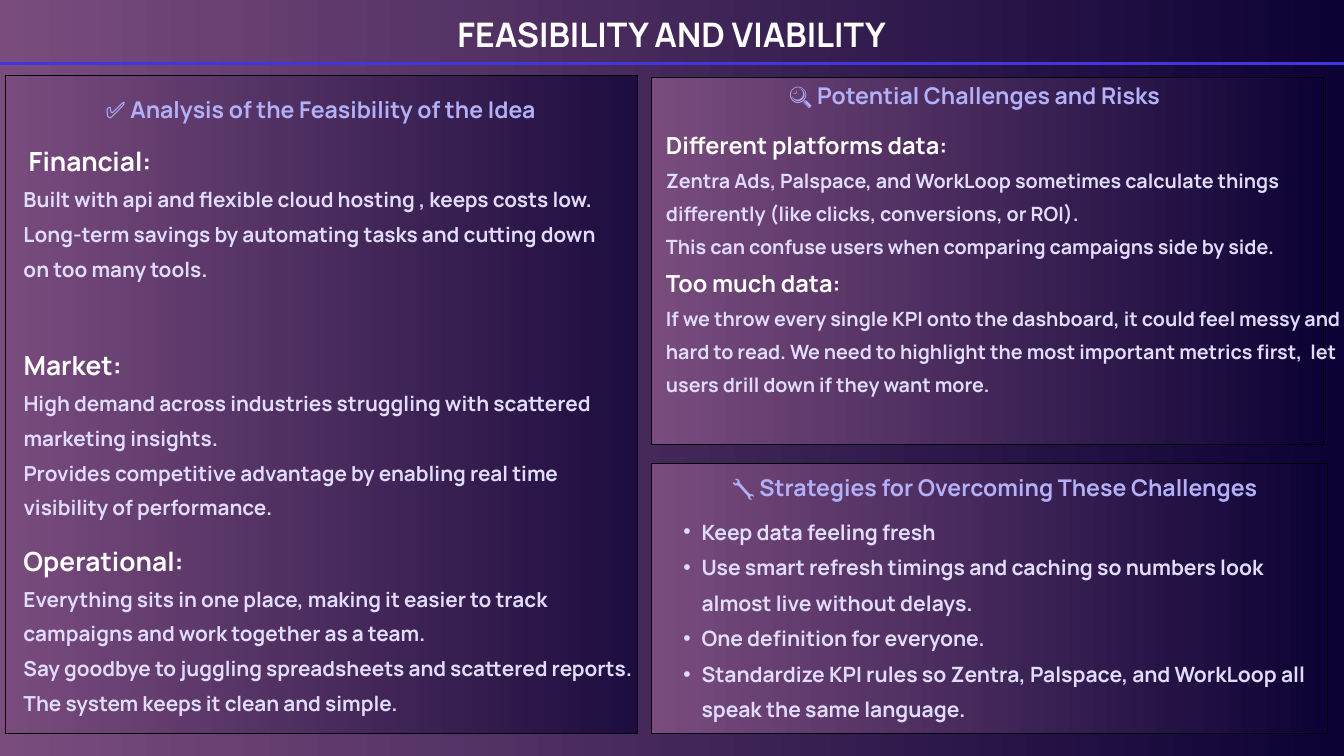
from dataclasses import dataclass

from lxml import etree
from pptx import Presentation
from pptx.dml.color import RGBColor
from pptx.enum.shapes import MSO_CONNECTOR, MSO_SHAPE
from pptx.enum.text import PP_ALIGN
from pptx.oxml.ns import qn
from pptx.util import Inches, Pt

RECT = MSO_SHAPE.RECTANGLE
LINE = MSO_CONNECTOR.STRAIGHT
LEFT, MID = PP_ALIGN.LEFT, PP_ALIGN.CENTER


@dataclass(frozen=True)
class Style:
    size: float
    lead: float
    color: str


class Theme:
    font = "Manrope"
    start, end = "7A4C7E", "0D0235"
    edge, rule = "000000", "4234DE"
    white, lilac, pale = "FFFFFF", "B3B0F8", "E1DCF9"
    title = Style(36.2, 50.7, white)
    label = Style(24.7, 34.6, lilac)
    head = Style(28.2, 47.3, white)
    body = Style(22.2, 37.3, pale)
    risk = Style(25.2, 42.3, white)
    note = Style(21.1, 35.4, pale)
    item = Style(22.6, 38.1, pale)


def rgb(code):
    return RGBColor.from_string(code)


def shade(fill, alpha=None):
    """Fill with the left-to-right gradient, see-through if alpha is given."""
    fill.gradient()
    fill.gradient_angle = 0
    for stop, code in zip(fill.gradient_stops, (Theme.start, Theme.end)):
        stop.color.rgb = rgb(code)
    if alpha:
        for node in fill._xPr.iter(qn("a:srgbClr")):
            etree.SubElement(node, qn("a:alpha"), val=str(alpha * 1000))


def add_panel(slide, box, alpha=None):
    panel = slide.shapes.add_shape(RECT, *map(Inches, box))
    panel.shadow.inherit = False
    shade(panel.fill, alpha)
    panel.line.color.rgb = rgb(Theme.edge)
    panel.line.width = Pt(1)


def add_rule(slide, left, right, top):
    rule = slide.shapes.add_connector(
        LINE, Inches(left), Inches(top), Inches(right), Inches(top))
    rule.line.color.rgb = rgb(Theme.rule)
    rule.line.width = Pt(3)
    etree.SubElement(rule._element.spPr, qn("a:effectLst"))


def add_bullet(para):
    para.level = 1
    props = para._p.get_or_add_pPr()
    props.set("marL", str(Inches(0.53)))
    props.set("indent", str(Inches(-0.27)))
    etree.SubElement(props, qn("a:buFont"), typeface="Arial")
    etree.SubElement(props, qn("a:buChar"), char="•")


def add_text(slide, box, rows, align=LEFT, bullet=False):
    """Write rows of (style, text), one paragraph each."""
    frame = slide.shapes.add_textbox(*map(Inches, box)).text_frame
    frame.word_wrap = True
    frame.margin_left = frame.margin_right = 0
    frame.margin_top = frame.margin_bottom = 0
    frame.text = "\n".join(text for _, text in rows)
    for para, (style, _) in zip(frame.paragraphs, rows):
        para.alignment = align
        para.line_spacing = Pt(style.lead)
        if bullet:
            add_bullet(para)
        font = para.runs[0].font
        font.name, font.size, font.bold = Theme.font, Pt(style.size), True
        font.color.rgb = rgb(style.color)


def add_topic(slide, box, head, *lines):
    add_text(slide, box,
             [(Theme.head, head)] + [(Theme.body, line) for line in lines])


def add_label(slide, box, text, style=Theme.label):
    add_text(slide, box, [(style, text)], MID)


def main():
    deck = Presentation()
    deck.slide_width, deck.slide_height = Inches(20), Inches(11.25)
    slide = deck.slides.add_slide(deck.slide_layouts[6])
    shade(slide.background.fill)

    # Panels and header
    add_panel(slide, (0.08, 1.12, 9.4, 9.8), alpha=71)
    add_panel(slide, (9.69, 1.16, 10.01, 5.46))
    add_panel(slide, (9.69, 6.9, 10.06, 4.02))
    add_rule(slide, -0.93, 20.93, 0.95)
    add_label(slide, (6.7, 0.11, 6.6, 0.7), "FEASIBILITY AND VIABILITY",
              Theme.title)

    # Feasibility
    add_label(slide, (1.31, 1.35, 6.93, 0.49),
              "✅ Analysis of the Feasibility of the Idea")
    add_topic(slide, (0.35, 1.98, 8.86, 2.71), " Financial:",
              "Built with api and flexible cloud hosting , keeps costs low.",
              "Long-term savings by automating tasks and cutting down on too "
              "many tools.")
    add_topic(slide, (0.35, 5.01, 8.49, 2.71), "Market:",
              "High demand across industries struggling with scattered "
              "marketing insights.",
              "Provides competitive advantage by enabling real time "
              "visibility of performance.")
    add_topic(slide, (0.35, 7.92, 9.26, 2.9), "Operational:",
              "Everything sits in one place, making it easier to track "
              "campaigns and work together as a team.",
              "Say goodbye to juggling spreadsheets and scattered reports. "
              "The system keeps it clean and simple.")

    # Challenges
    add_label(slide, (11.52, 1.14, 5.97, 0.49),
              "🔍 Potential Challenges and Risks")
    add_text(slide, (9.91, 1.78, 10.09, 4.93), [
        (Theme.risk, "Different platforms data:"),
        (Theme.note, "Zentra Ads, Palspace, and WorkLoop sometimes calculate "
                     "things differently (like clicks, conversions, or ROI)."),
        (Theme.note, "This can confuse users when comparing campaigns side "
                     "by side."),
        (Theme.risk, "Too much data:"),
        (Theme.note, "If we throw every single KPI onto the dashboard, it "
                     "could feel messy and hard to read. We need to highlight "
                     "the most important metrics first,  let users drill "
                     "down if they want more."),
    ])

    # Strategies
    add_label(slide, (10.61, 6.97, 8.39, 0.49),
              "🔧 Strategies for Overcoming These Challenges")
    items = (
        "Keep data feeling fresh",
        "Use smart refresh timings and caching so numbers look almost live "
        "without delays.",
        "One definition for everyone.",
        "Standardize KPI rules so Zentra, Palspace, and WorkLoop all speak "
        "the same language.",
    )
    add_text(slide, (9.91, 7.57, 9.79, 3.12),
             [(Theme.item, item) for item in items], bullet=True)

    deck.save("out.pptx")


if __name__ == "__main__":
    main()
